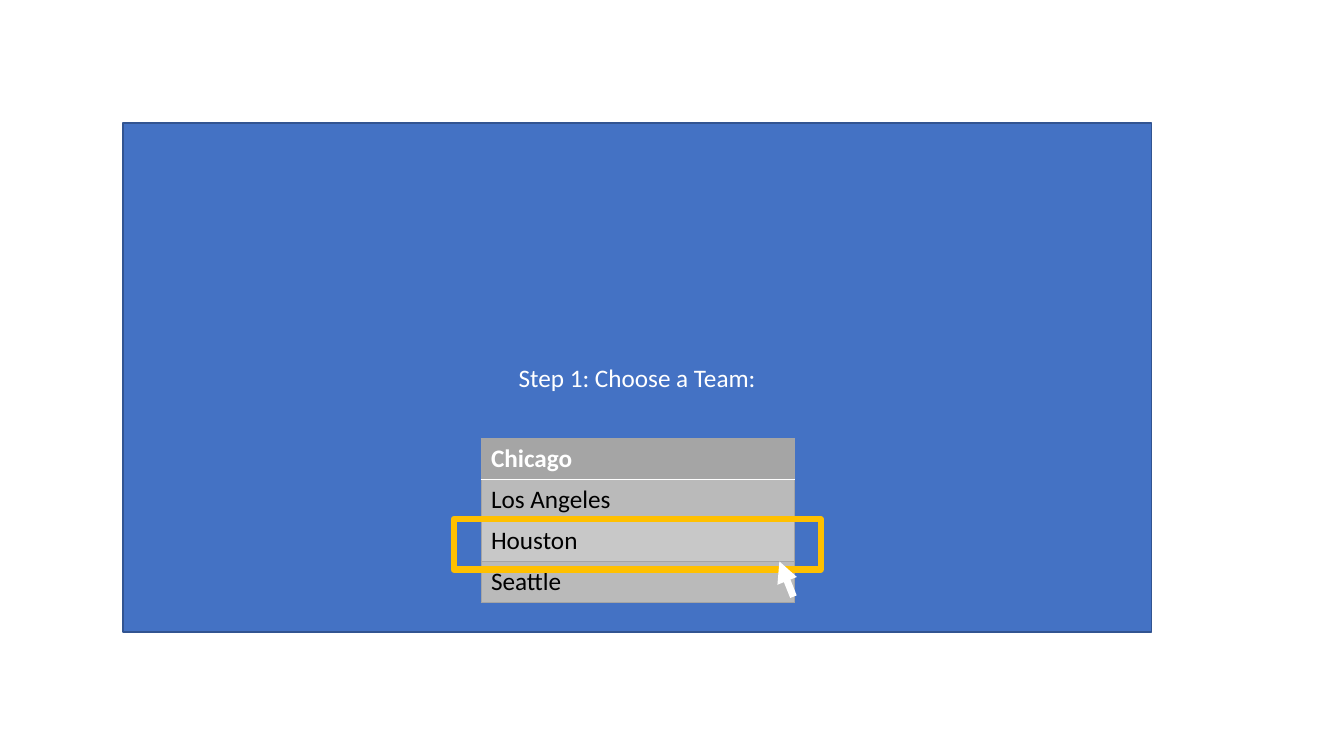
from lxml import etree
from pptx import Presentation
from pptx.dml.color import RGBColor
from pptx.enum.shapes import MSO_CONNECTOR, MSO_SHAPE
from pptx.enum.text import MSO_ANCHOR, PP_ALIGN
from pptx.oxml.ns import qn
from pptx.util import Inches, Pt

RECTANGLE = MSO_SHAPE.RECTANGLE
STRAIGHT = MSO_CONNECTOR.STRAIGHT
MIDDLE = MSO_ANCHOR.MIDDLE
CENTER = PP_ALIGN.CENTER

# Content
PROMPT = "Step 1: Choose a Team:"
TEAMS = ["Chicago", "Los Angeles", "Houston", "Seattle"]

# Colours and type
WHITE = RGBColor(0xFF, 0xFF, 0xFF)
BLACK = RGBColor(0x00, 0x00, 0x00)
BLUE = RGBColor(0x44, 0x72, 0xC4)
BLUE_EDGE = RGBColor(0x32, 0x54, 0x91)
GOLD = RGBColor(0xFF, 0xC0, 0x00)
HEADER_GREY = RGBColor(0xA5, 0xA5, 0xA5)
BAND_GREYS = [RGBColor(0xC8, 0xC8, 0xC8), RGBColor(0xBA, 0xBA, 0xBA)]
FONT, SIZE = "Calibri", Pt(18)

# Layout in inches: left, top, width, height
PANEL = (1.22, 1.22, 10.2, 5.05)
ROW_HEIGHT = 0.4
MENU = (4.77, 4.35, 3.11, ROW_HEIGHT * len(TEAMS))
HIGHLIGHT = (4.5, 5.15, 3.64, 0.5)
POINTER_FROM, POINTER_TIP = (7.87, 5.92), (7.73, 5.57)


def inches(lengths):
    return [Inches(length) for length in lengths]


def style_text(paragraph, color, bold=False):
    font = paragraph.runs[0].font
    font.name, font.size, font.bold = FONT, SIZE, bold
    font.color.rgb = color


def add_box(slide, place, edge, edge_width, fill=None):
    box = slide.shapes.add_shape(RECTANGLE, *inches(place))
    box.shadow.inherit = False
    if fill is None:
        box.fill.background()
    else:
        box.fill.solid()
        box.fill.fore_color.rgb = fill
    box.line.color.rgb = edge
    box.line.width = Pt(edge_width)
    return box


def set_borders(cell, borders):
    properties = cell._tc.get_or_add_tcPr()
    for position, (side, color, width) in enumerate(borders):
        border = etree.Element(qn(f"a:ln{side}"), w=str(Pt(width)))
        solid = etree.SubElement(border, qn("a:solidFill"))
        etree.SubElement(solid, qn("a:srgbClr"), val=str(color))
        properties.insert(position, border)


def add_menu(slide):
    menu = slide.shapes.add_table(len(TEAMS), 1, *inches(MENU)).table
    for row, team in enumerate(TEAMS):
        header = row == 0
        cell = menu.cell(row, 0)
        cell.text = team
        style_text(cell.text_frame.paragraphs[0], WHITE if header else BLACK, header)
        cell.fill.solid()
        cell.fill.fore_color.rgb = HEADER_GREY if header else BAND_GREYS[row % 2]
        top = (WHITE, 1) if row == 1 else (HEADER_GREY, 0.5)
        bottom = (WHITE, 1) if header else (HEADER_GREY, 0.5)
        set_borders(cell, [("L", HEADER_GREY, 0.5), ("R", HEADER_GREY, 0.5),
                           ("T", *top), ("B", *bottom)])


def add_pointer(slide):
    pointer = slide.shapes.add_connector(STRAIGHT, *inches(POINTER_FROM + POINTER_TIP))
    pointer.line.color.rgb = WHITE
    pointer.line.width = Pt(5)
    etree.SubElement(pointer.line._get_or_add_ln(), qn("a:tailEnd"), type="triangle")
    etree.SubElement(pointer._element.spPr, qn("a:effectLst"))


def main():
    deck = Presentation()
    deck.slide_width, deck.slide_height = Inches(13.33), Inches(7.5)
    slide = deck.slides.add_slide(deck.slide_layouts[6])

    # Panel with the prompt
    panel = add_box(slide, PANEL, BLUE_EDGE, 1, BLUE)
    panel.text_frame.text = PROMPT
    panel.text_frame.vertical_anchor = MIDDLE
    prompt = panel.text_frame.paragraphs[0]
    prompt.alignment = CENTER
    style_text(prompt, WHITE)

    # Team menu, highlighted choice and mouse pointer
    add_menu(slide)
    add_box(slide, HIGHLIGHT, GOLD, 4.5)
    add_pointer(slide)

    deck.save("out.pptx")


if __name__ == "__main__":
    main()
